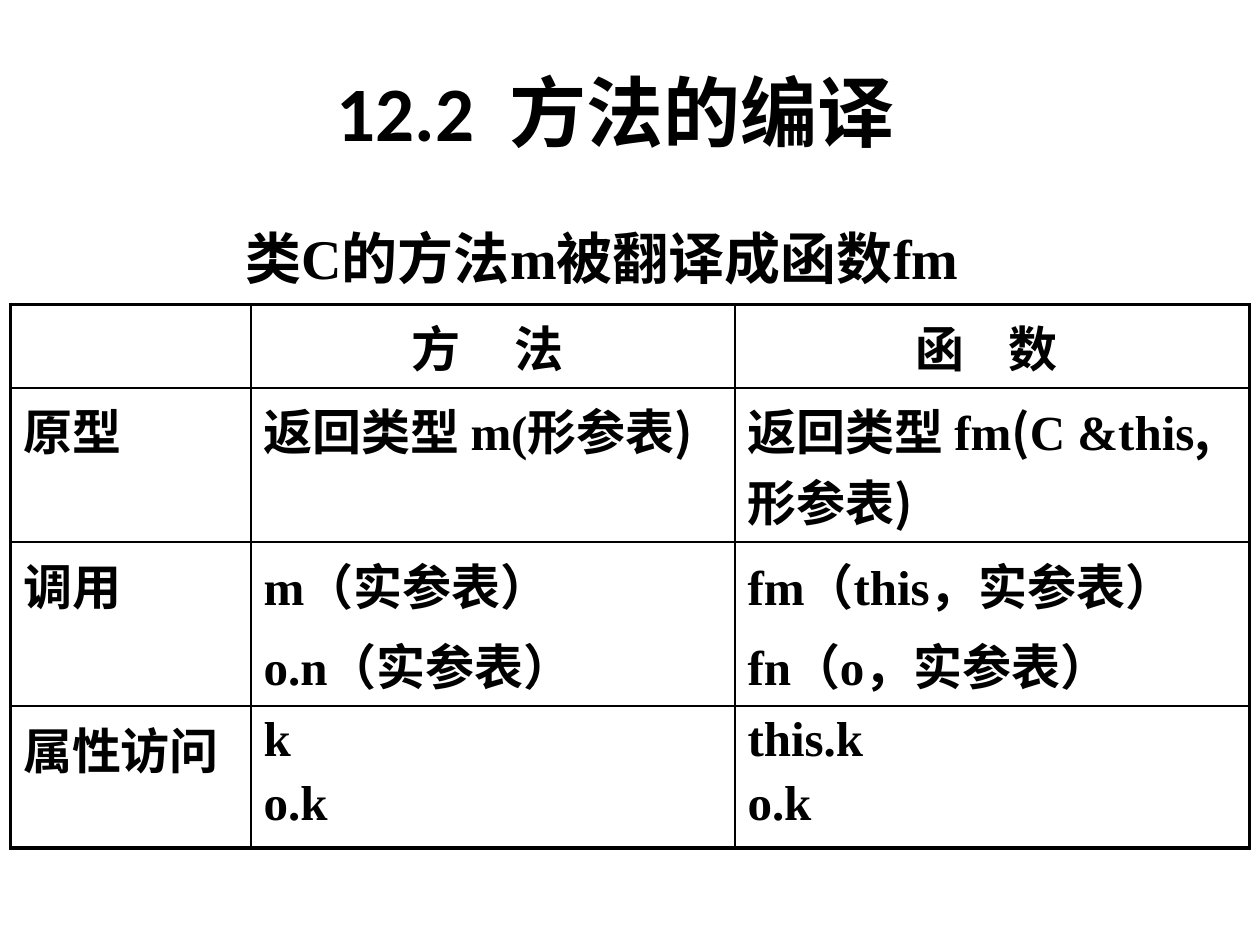
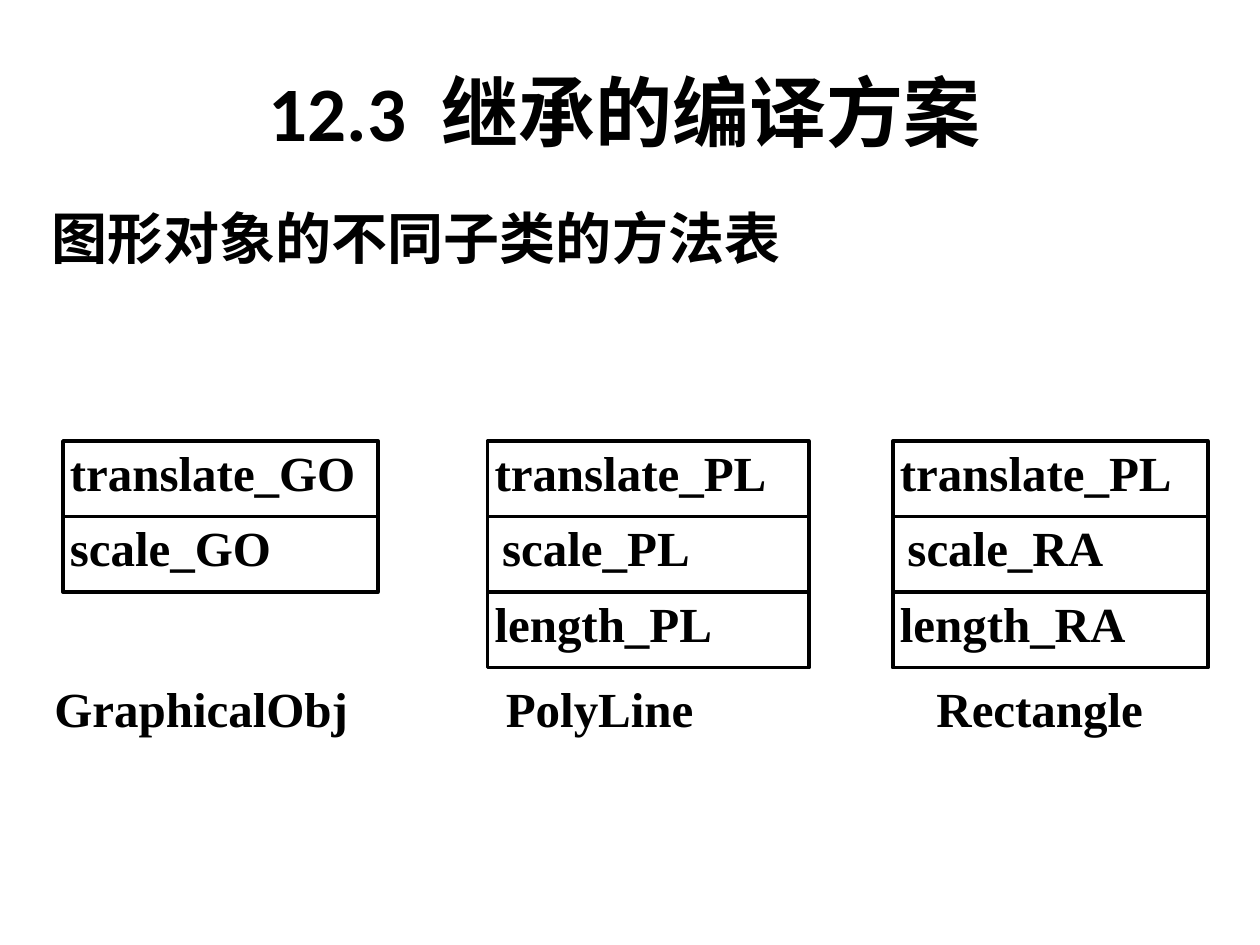
from lxml.etree import SubElement
from pptx import Presentation
from pptx.dml.color import RGBColor
from pptx.enum.shapes import MSO_SHAPE as Shape
from pptx.enum.text import MSO_ANCHOR as Anchor, MSO_AUTO_SIZE as AutoSize, PP_ALIGN as Align
from pptx.oxml.ns import qn
from pptx.util import Pt

BLACK = RGBColor(0, 0, 0)
CALIBRI = "Calibri"
CJK = "Noto Sans CJK SC"
TIMES = "Times New Roman"
TITLE_SIZE, LEAD_SIZE, BODY_SIZE = 44, 32, 28


def write(paragraph, text, font=TIMES, size=BODY_SIZE, align=Align.LEFT, spacing=0):
    paragraph.alignment = align
    run = paragraph.add_run()
    run.text = text
    run.font.name = font
    run.font.size = Pt(size)
    run.font.bold = True
    run.font.color.rgb = BLACK
    properties = run._r.get_or_add_rPr()
    SubElement(properties, qn("a:ea")).set("typeface", CJK)
    if spacing:
        properties.set("spc", str(spacing * 100))


def add_border(cell, side, width):
    line = SubElement(cell._tc.get_or_add_tcPr(), qn(f"a:ln{side}"), w=str(Pt(width)))
    fill = SubElement(line, qn("a:solidFill"))
    SubElement(fill, qn("a:srgbClr"), val=str(BLACK))


presentation = Presentation()
presentation.slide_width = Pt(720)
presentation.slide_height = Pt(540)
title_only = presentation.slide_layouts[5]

slides = []
for number, heading in [("12.2", "方法的编译 "), ("12.3", "继承的编译方案")]:
    slide = presentation.slides.add_slide(title_only)
    title = slide.shapes.title
    title.left, title.top, title.width, title.height = Pt(24), Pt(18), Pt(666), Pt(90)
    title.text_frame.vertical_anchor = Anchor.MIDDLE
    title.text_frame.auto_size = AutoSize.NONE
    paragraph = title.text_frame.paragraphs[0]
    write(paragraph, number, CALIBRI, TITLE_SIZE, Align.CENTER)
    write(paragraph, " ", CALIBRI, TITLE_SIZE, Align.CENTER, spacing=10)
    write(paragraph, heading, CJK, TITLE_SIZE, Align.CENTER)
    slides.append(slide)
methods_slide, inheritance_slide = slides

COLUMN_WIDTHS = [137.5, 276.5, 294]
ROW_HEIGHTS = [42, 78, 81, 81]
HEADERS = ["", "方法", "函数"]
HEADER_SPACING = [0, 25, 19]
ROWS = [
    [["原型"], ["返回类型 |m(|形参表)"], ["返回类型 |fm|(|C &this|, 形参表)"]],
    [["调用"], ["|m（实参表）", "|o.n（实参表）"],
     ["|fm|（|this|，实参表）", "|fn|（|o|，实参表）"]],
    [["属性访问"], ["|k", "|o.k"], ["|this.k", "|o.k"]],
]

table = methods_slide.shapes.add_table(4, 3, Pt(6), Pt(174), Pt(708), Pt(282)).table
for column, width in zip(table.columns, COLUMN_WIDTHS):
    column.width = Pt(width)
for row, height in zip(table.rows, ROW_HEIGHTS):
    row.height = Pt(height)

for row_index in range(4):
    for column_index in range(3):
        cell = table.cell(row_index, column_index)
        outer_sides = {"L": column_index == 0, "R": column_index == 2,
                       "T": row_index == 0, "B": row_index == 3}
        for side, is_outer in outer_sides.items():
            add_border(cell, side, 2.25 if is_outer else 1)
        cell.fill.background()
        frame = cell.text_frame
        if row_index == 0:
            if HEADERS[column_index]:
                first, last = HEADERS[column_index]
                paragraph = frame.paragraphs[0]
                write(paragraph, first, CJK, align=Align.CENTER)
                write(paragraph, " ", CJK, align=Align.CENTER, spacing=HEADER_SPACING[column_index])
                write(paragraph, last + " ", CJK, align=Align.CENTER)
            continue
        for line_index, line in enumerate(ROWS[row_index - 1][column_index]):
            paragraph = frame.add_paragraph() if line_index else frame.paragraphs[0]
            if line_index:
                paragraph.space_before = Pt(5.6)
            for segment_index, segment in enumerate(line.split("|")):
                if segment:
                    write(paragraph, segment, TIMES if segment_index % 2 else CJK)

caption = methods_slide.shapes.add_textbox(Pt(98), Pt(126), Pt(500), Pt(42)).text_frame
caption.word_wrap = True
caption.vertical_anchor = Anchor.MIDDLE
write(caption.paragraphs[0], "类C的方法m被翻译成函数fm ", size=LEAD_SIZE, align=Align.CENTER)

lead = inheritance_slide.shapes.add_textbox(Pt(22.5), Pt(113), Pt(675), Pt(397)).text_frame
lead.word_wrap = True
write(lead.paragraphs[0], "图形对象的不同子类的方法表", CALIBRI, LEAD_SIZE)

ENTRY_TOP, ENTRY_HEIGHT = 252, 43.2
METHOD_TABLES = [
    ("GraphicalObj", 24, 192, 36, 180, ["translate_GO", "scale_GO"]),
    ("PolyLine", 282, 146, 278.6, 183.6, ["translate_PL", "scale_PL", "length_PL"]),
    ("Rectangle", 528, 146, 510.2, 180, ["translate_PL", "scale_RA", "length_RA"]),
]
for class_name, label_left, label_width, left, width, methods in METHOD_TABLES:
    label = inheritance_slide.shapes.add_textbox(
        Pt(label_left), Pt(384), Pt(label_width), Pt(50)).text_frame
    label.word_wrap = True
    write(label.paragraphs[0], class_name, align=Align.JUSTIFY)
    for index, method in enumerate(methods):
        entry = inheritance_slide.shapes.add_shape(
            Shape.RECTANGLE, Pt(left), Pt(ENTRY_TOP + index * ENTRY_HEIGHT),
            Pt(width), Pt(ENTRY_HEIGHT))
        entry.shadow.inherit = False
        entry.fill.background()
        entry.line.color.rgb = BLACK
        entry.line.width = Pt(2)
        frame = entry.text_frame
        frame.word_wrap = True
        frame.vertical_anchor = Anchor.TOP
        is_middle = 0 < index < len(methods) - 1
        frame.margin_left = Pt(8.4 if is_middle else 4)
        frame.margin_right = Pt(7.2)
        frame.margin_top = frame.margin_bottom = Pt(0.7)
        write(frame.paragraphs[0], method, align=Align.JUSTIFY)

presentation.save("out.pptx")
